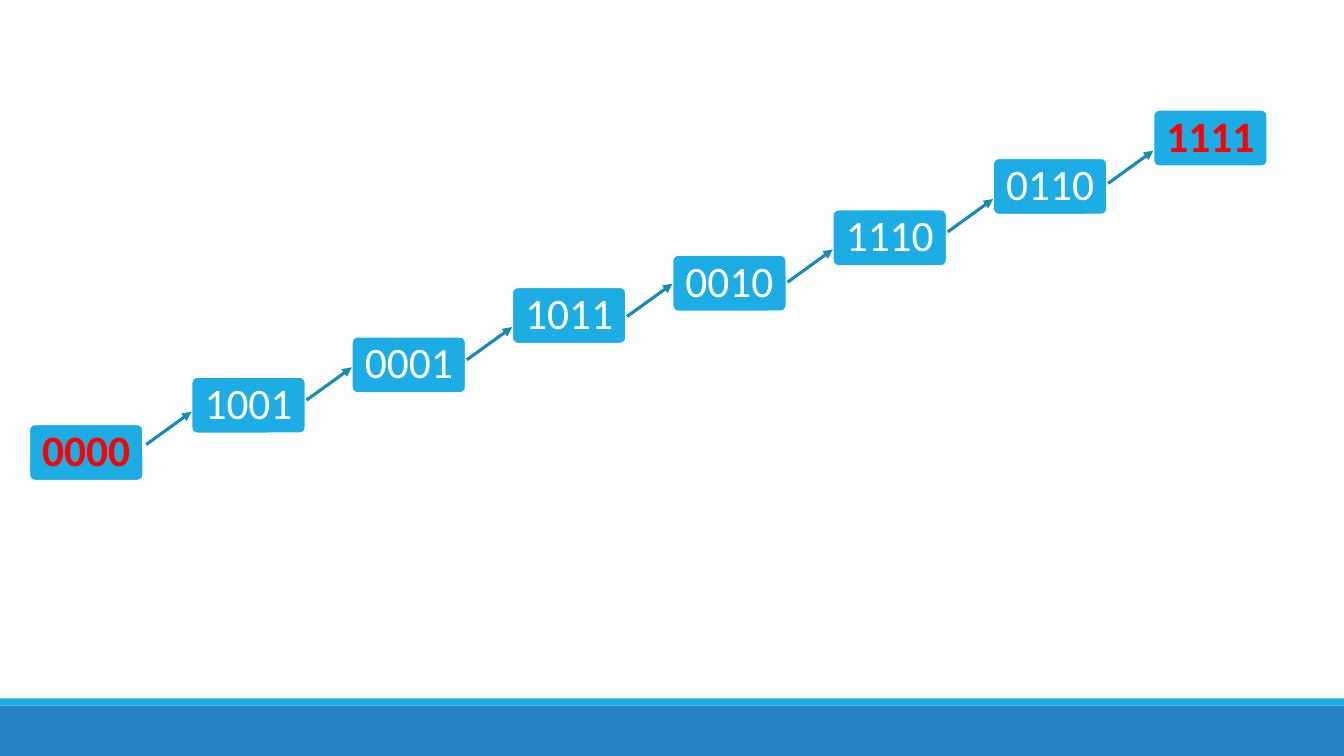
from dataclasses import dataclass
from typing import Optional

from lxml.etree import SubElement
from pptx import Presentation
from pptx.dml.color import RGBColor
from pptx.enum.shapes import MSO_CONNECTOR, MSO_SHAPE
from pptx.enum.text import MSO_ANCHOR, PP_ALIGN
from pptx.oxml.ns import qn
from pptx.util import Inches, Pt


@dataclass(frozen=True)
class Theme:
    font: str = "Calibri"
    code_size: float = 31
    outline_width: float = 1.25
    arrow_width: float = 2.25
    white: str = "FFFFFF"
    box: str = "1CADE4"
    footer: str = "2683C6"
    arrow: str = "168BB7"
    highlight: str = "FF0000"


@dataclass(frozen=True)
class Step:
    code: str
    left: float
    top: float
    arrow_top: Optional[float] = None  # where the arrow to the next step starts
    highlighted: bool = False


THEME = Theme()
PITCH = 1.59
SECOND_LEFT = 1.9
BOX_WIDTH, BOX_HEIGHT = 1.13, 0.56
ARROW_LEFT, ARROW_WIDTH, ARROW_RISE = 1.45, 0.45, 0.325

MIDDLE_STEPS = [
    ("1001", 3.74, 3.97),
    ("0001", 3.34, 3.57),
    ("1011", 2.85, 3.14),
    ("0010", 2.53, 2.80),
    ("1110", 2.08, 2.30),
    ("0110", 1.57, 1.82),
]
STEPS = [
    Step("0000", 0.29, 4.21, 4.41, highlighted=True),
    *(Step(code, SECOND_LEFT + PITCH * index, top, arrow_top)
      for index, (code, top, arrow_top) in enumerate(MIDDLE_STEPS)),
    Step("1111", SECOND_LEFT + PITCH * len(MIDDLE_STEPS), 1.09, highlighted=True),
]


def add_block(slide, kind, left: float, top: float, width: float, height: float,
              fill: str, outline: Optional[str] = None):
    shape = slide.shapes.add_shape(
        kind, Inches(left), Inches(top), Inches(width), Inches(height))
    shape.shadow.inherit = False
    shape.fill.solid()
    shape.fill.fore_color.rgb = RGBColor.from_string(fill)
    if outline:
        shape.line.color.rgb = RGBColor.from_string(outline)
        shape.line.width = Pt(THEME.outline_width)
    else:
        shape.line.fill.background()
    return shape


def write_text(shape, text: str, *, size: float, color: str, bold: bool = False) -> None:
    frame = shape.text_frame
    frame.word_wrap = True
    frame.vertical_anchor = MSO_ANCHOR.MIDDLE
    frame.margin_left = frame.margin_right = Inches(0.04)
    frame.margin_top = frame.margin_bottom = Inches(0.04)
    paragraph = frame.paragraphs[0]
    paragraph.alignment = PP_ALIGN.CENTER
    paragraph.line_spacing = 0.9
    run = paragraph.add_run()
    run.text = text
    run.font.name = THEME.font
    run.font.size = Pt(size)
    run.font.bold = bold
    run.font.color.rgb = RGBColor.from_string(color)


def add_step(slide, step: Step) -> None:
    shape = add_block(slide, MSO_SHAPE.ROUNDED_RECTANGLE, step.left, step.top,
                      BOX_WIDTH, BOX_HEIGHT, THEME.box, THEME.white)
    shape.adjustments[0] = 0.1
    write_text(shape, step.code, size=THEME.code_size, bold=step.highlighted,
               color=THEME.highlight if step.highlighted else THEME.white)


def add_arrow(slide, left: float, top: float) -> None:
    connector = slide.shapes.add_connector(
        MSO_CONNECTOR.STRAIGHT, Inches(left), Inches(top),
        Inches(left + ARROW_WIDTH), Inches(top - ARROW_RISE))
    connector.line.color.rgb = RGBColor.from_string(THEME.arrow)
    connector.line.width = Pt(THEME.arrow_width)
    SubElement(connector.line._get_or_add_ln(), qn("a:tailEnd"), type="triangle")
    SubElement(connector._element.spPr, qn("a:effectLst"))


def main() -> None:
    presentation = Presentation()
    presentation.slide_width = Inches(13.33)
    presentation.slide_height = Inches(7.5)
    slide = presentation.slides.add_slide(presentation.slide_layouts[6])

    # Footer bands
    add_block(slide, MSO_SHAPE.RECTANGLE, 0, 7, 13.33, 0.5, THEME.footer)
    add_block(slide, MSO_SHAPE.RECTANGLE, 0, 6.93, 13.33, 0.07, THEME.box)

    # Rising chain of codes
    for step in STEPS:
        add_step(slide, step)

    # Arrows between neighbours
    for index, step in enumerate(STEPS[:-1]):
        add_arrow(slide, ARROW_LEFT + PITCH * index, step.arrow_top)

    presentation.save("out.pptx")


if __name__ == "__main__":
    main()
